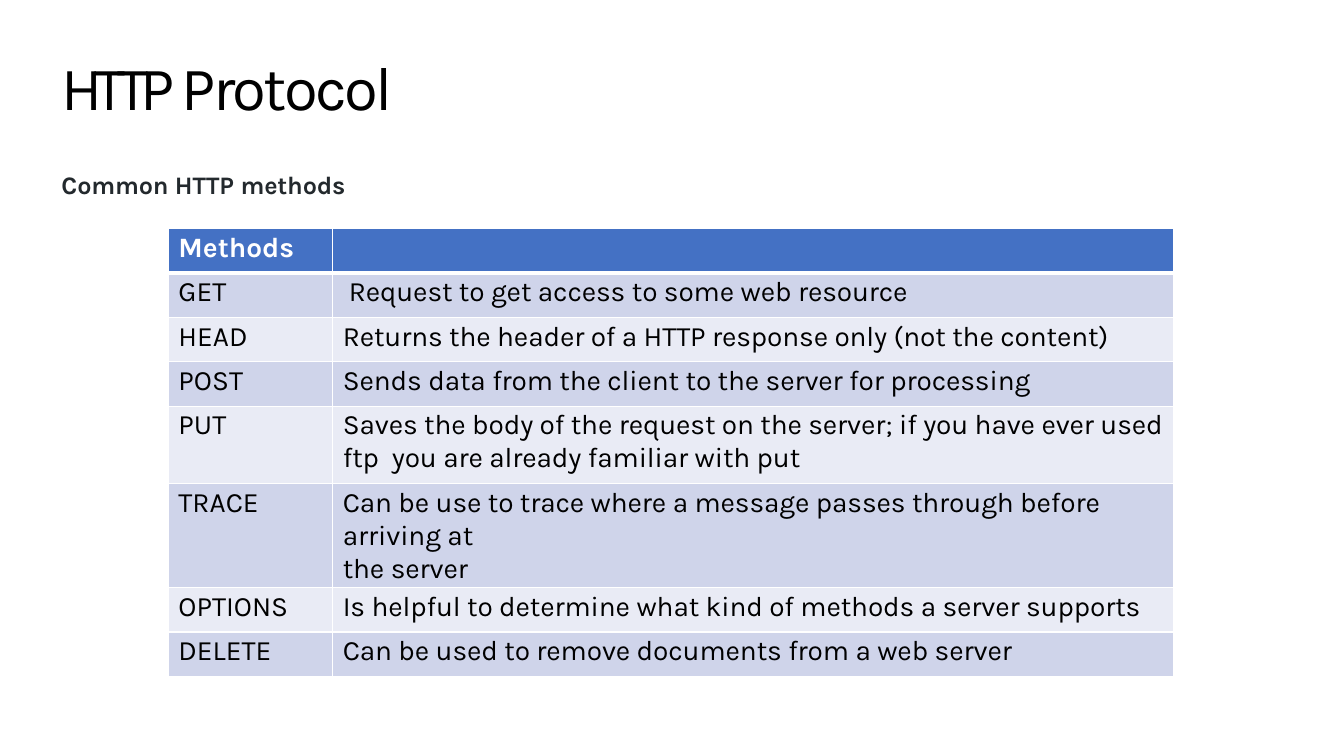
import pptx
import pptx.util
import pptx.dml.color
import pptx.enum.text
import pptx.oxml.ns
import lxml.etree
from dataclasses import dataclass

PX = 9144  # 100 px to the inch


@dataclass(frozen=True)
class Theme:
    font: str = "Karla"
    title_size: int = 44
    heading_size: int = 18
    cell_size: int = 20
    black: str = "000000"
    white: str = "FFFFFF"
    heading: str = "23292D"
    header_fill: str = "4471C4"
    bands: tuple = ("CFD4EA", "E9EBF5")


THEME = Theme()
COLUMNS = [163, 834]
ROW_HEIGHTS = [44, 44, 44, 44, 77, 77, 44, 44]
METHODS = [
    ("Methods", ""),
    ("GET", "Request to get access to some web resource"),
    ("HEAD", "Returns the header of a HTTP response only (not the content)"),
    ("POST", "Sends data from the client to the server for processing"),
    ("PUT", "Saves the body of the request on the server; if you have ever "
            "used ftp  you are already familiar with put"),
    ("TRACE", "Can be use to trace where a message passes through before "
              "arriving at\nthe server"),
    ("OPTIONS", "Is helpful to determine what kind of methods a server supports"),
    ("DELETE", "Can be used to remove documents from a web server"),
]


def px(n):
    return pptx.util.Emu(n * PX)


def rgb(value):
    return pptx.dml.color.RGBColor.from_string(value)


def set_attrs(obj, values):
    for name, value in values.items():
        setattr(obj, name, value)


def add_run(p, text, size, color, bold=False, spacing=0):
    """Append a run; spacing is letter spacing in hundredths of a point."""
    r = p.add_run()
    r.text = text
    set_attrs(r.font, {"name": THEME.font, "size": pptx.util.Pt(size), "bold": bold})
    r.font.color.rgb = rgb(color)
    r.font._element.set("spc", str(spacing))


def write_line(sp, box, runs, space_before, **style):
    """Place a shape and fill it with one left-aligned line of (text, spacing) runs."""
    set_attrs(sp, dict(zip(("left", "top", "width", "height"), map(px, box))))
    tf = sp.text_frame
    set_attrs(tf, {
        "margin_left": px(1), "margin_top": px(1),
        "margin_right": 0, "margin_bottom": 0, "word_wrap": True,
        "auto_size": pptx.enum.text.MSO_AUTO_SIZE.SHAPE_TO_FIT_TEXT,
        "vertical_anchor": pptx.enum.text.MSO_ANCHOR.TOP,
    })
    p = tf.paragraphs[0]
    set_attrs(p, {"alignment": pptx.enum.text.PP_ALIGN.LEFT,
                  "space_before": pptx.util.Pt(space_before)})
    for text, spacing in runs:
        add_run(p, text, spacing=spacing, **style)


def add_borders(cell, widths):
    """Draw white borders; widths maps L, R, T and B to points."""
    tc_pr = cell._tc.get_or_add_tcPr()
    qn = pptx.oxml.ns.qn
    for side, width in widths.items():
        ln = lxml.etree.SubElement(tc_pr, qn(f"a:ln{side}"), w=str(pptx.util.Pt(width)))
        fill = lxml.etree.SubElement(ln, qn("a:solidFill"))
        lxml.etree.SubElement(fill, qn("a:srgbClr"), val=THEME.white)


def format_cell(cell, row, col, text):
    header = row == 0
    add_borders(cell, {"L": 1, "R": 1, "T": 3 if row == 1 else 1, "B": 3 if header else 1})
    cell.fill.solid()
    cell.fill.fore_color.rgb = rgb(THEME.header_fill if header else THEME.bands[(row - 1) % 2])
    set_attrs(cell, {"margin_left": px(16 if (row, col) == (1, 1) else 10),
                     "margin_top": px(3), "margin_right": 0, "margin_bottom": 0})
    tf = cell.text_frame
    for i, line in enumerate(text.split("\n") if text else []):
        p = tf.add_paragraph() if i else tf.paragraphs[0]
        p.space_before = pptx.util.Pt(0 if i else 2.4)
        add_run(p, line, THEME.cell_size, THEME.white if header else THEME.black,
                bold=header, spacing=-10 if col else 0)


def add_methods_table(slide, left, top):
    frame = slide.shapes.add_table(len(METHODS), len(COLUMNS), px(left), px(top),
                                   px(sum(COLUMNS)), px(sum(ROW_HEIGHTS)))
    table = frame.table
    for column, width in zip(table.columns, COLUMNS):
        column.width = px(width)
    for i, (height, texts) in enumerate(zip(ROW_HEIGHTS, METHODS)):
        table.rows[i].height = px(height)
        for j, text in enumerate(texts):
            format_cell(table.cell(i, j), i, j, text)


def main():
    prs = pptx.Presentation()
    set_attrs(prs, {"slide_width": px(1333), "slide_height": px(750)})
    slide = prs.slides.add_slide(prs.slide_layouts[5])
    write_line(slide.shapes.title, (60, 48, 349, 76),
               [("HTTP ", -560), ("Protocol", -190)], 1.1,
               size=THEME.title_size, color=THEME.black)
    write_line(slide.shapes.add_textbox(0, 0, 0, 0), (60, 167, 294, 33),
               [("Common ", -10), ("HTTP ", 0), ("methods", -10)], 1,
               size=THEME.heading_size, color=THEME.heading, bold=True)
    add_methods_table(slide, 167, 227)
    prs.save("out.pptx")


if __name__ == "__main__":
    main()
